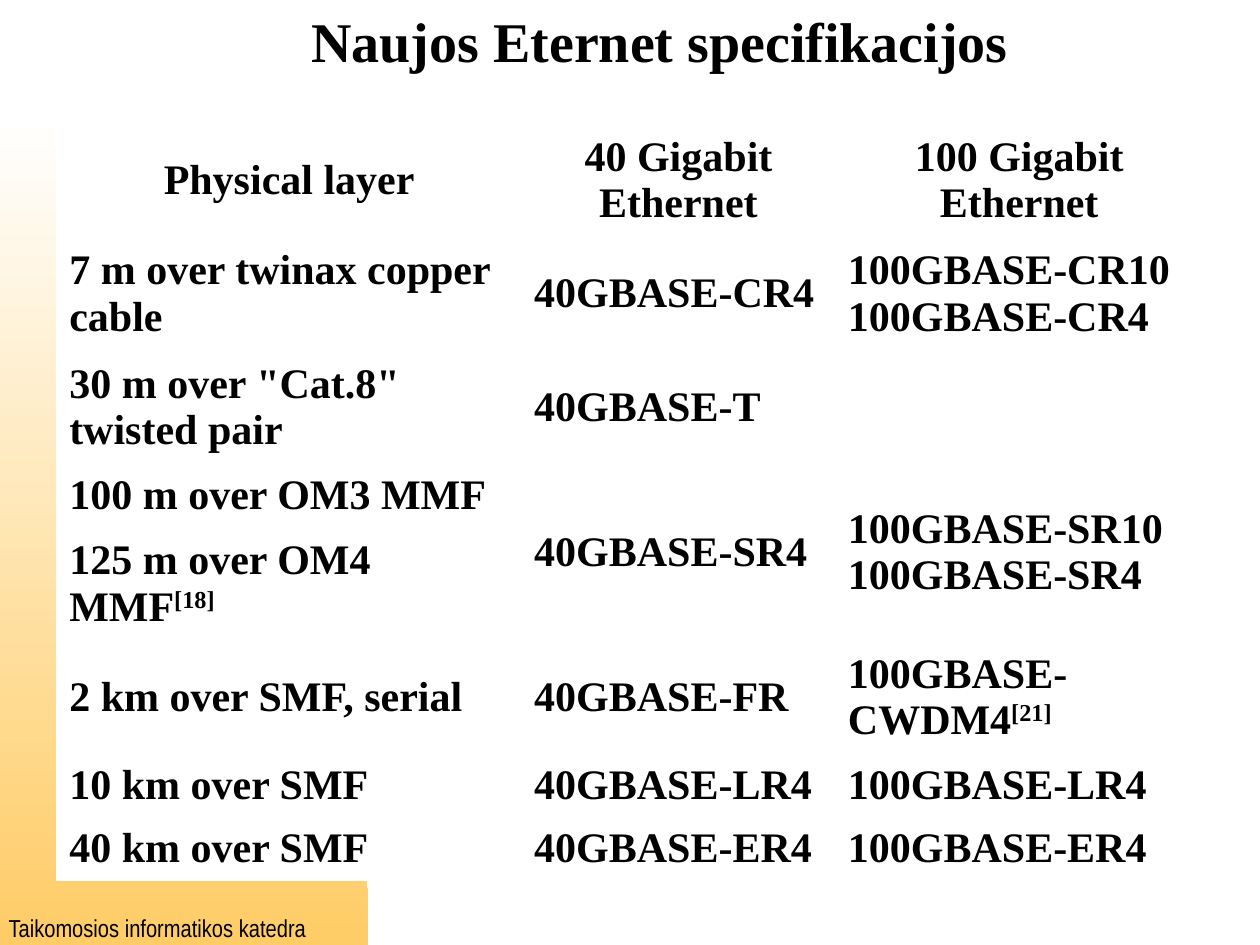
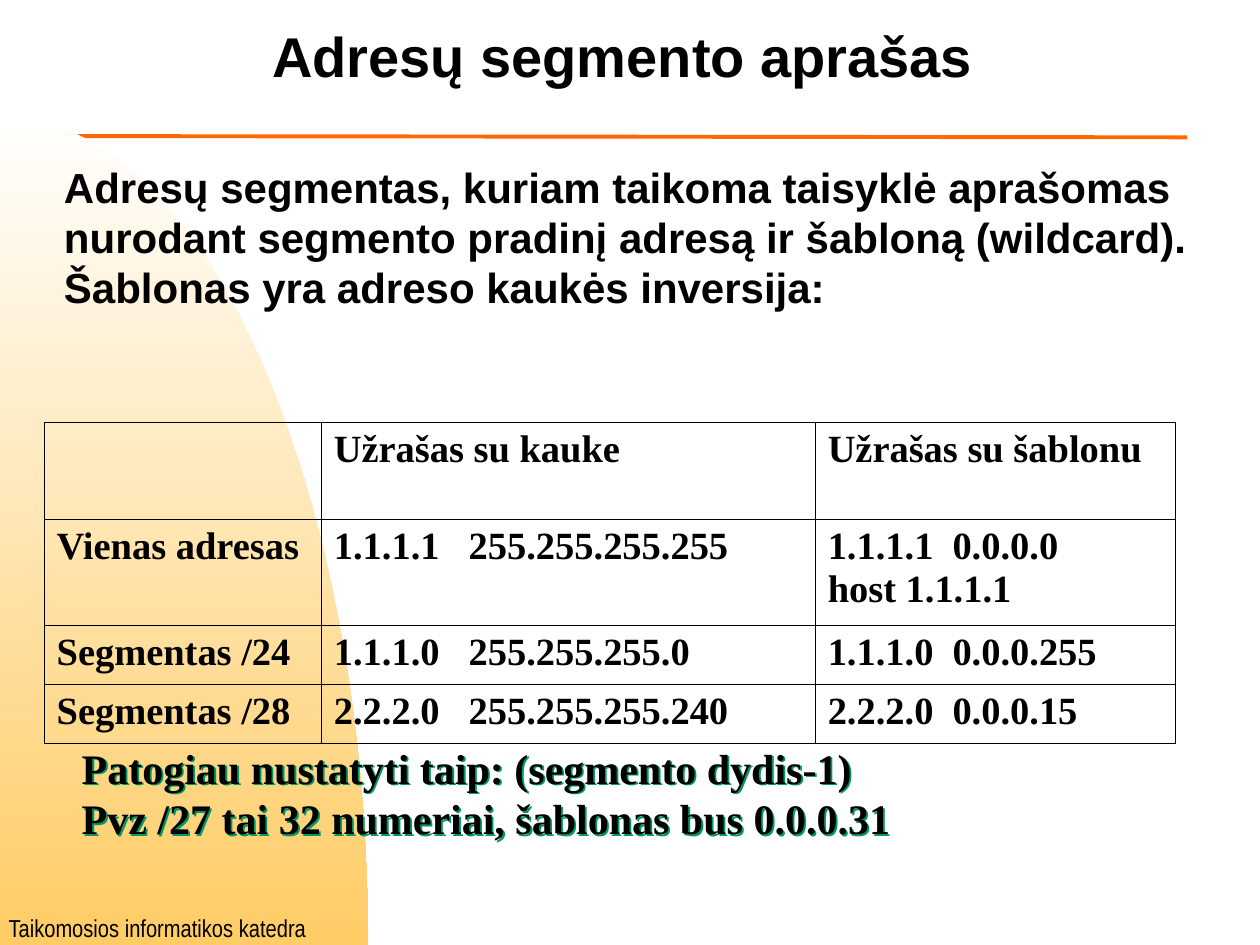
"""Build two slides on Ethernet layers and address segments."""
from lxml.etree import SubElement as Sub
from pptx import Presentation as Deck
from pptx.dml.color import RGBColor as Rgb
from pptx.enum.shapes import MSO_CONNECTOR as Link
from pptx.enum.text import MSO_ANCHOR as Anchor, MSO_AUTO_SIZE as Auto, PP_ALIGN as Align
from pptx.oxml.ns import qn
from pptx.util import Inches, Pt

HUES = {"ink": "000000", "paper": "FFFFFF", "sand": "FFCC66", "rule": "FF6903", "shade": "009966"}
SERIF, SANS, SLIM = "Times New Roman", "Arial", "Arial Narrow"
FOOT = "Taikomosios informatikos katedra"

LAYERS = [
    ["Physical layer", "40 Gigabit Ethernet", "100 Gigabit Ethernet"],
    ["7\u00a0m over twinax copper cable", "40GBASE-CR4", "100GBASE-CR10\n100GBASE-CR4"],
    ["30\u00a0m over \"Cat.8\" twisted pair", "40GBASE-T", ""],
    ["100\u00a0m over OM3 MMF", "40GBASE-SR4", "100GBASE-SR10\n100GBASE-SR4"],
    ["125\u00a0m over OM4 MMF^[18]", "", ""],
    ["2\u00a0km over SMF, serial", "40GBASE-FR", "100GBASE-CWDM4^[21]"],
    ["10\u00a0km over SMF", "40GBASE-LR4", "100GBASE-LR4"],
    ["40\u00a0km over SMF", "40GBASE-ER4", "100GBASE-ER4"],
]
MASKS = [
    ["", "Užrašas su kauke", "Užrašas su šablonu"],
    ["Vienas adresas", "1.1.1.1\t255.255.255.255", "1.1.1.1\t0.0.0.0\nhost 1.1.1.1"],
    ["Segmentas /24", "1.1.1.0\t255.255.255.0", "1.1.1.0\t0.0.0.255"],
    ["Segmentas /28", "2.2.2.0\t255.255.255.240", "2.2.2.0\t0.0.0.15"],
]
INTRO = """Adresų segmentas, kuriam taikoma taisyklė aprašomas
nurodant segmento pradinį adresą ir šabloną (wildcard).
Šablonas yra adreso kaukės inversija:"""
HINT = """Patogiau nustatyti taip: (segmento dydis-1)
Pvz /27 tai 32 numeriai, šablonas bus 0.0.0.31"""


def hue(name):
    """Return a named colour."""
    return Rgb.from_string(HUES[name])


def apply(item, values):
    """Set each format value on an item."""
    for name, value in values.items():
        setattr(item, name, value)


def write(frame, text, face, size, bold=True, tab=None, **form):
    """Write lines of text; a caret starts a raised run."""
    for num, line in enumerate(text.split("\n")):
        para = frame.add_paragraph() if num else frame.paragraphs[0]
        apply(para, form)
        if tab and "\t" in line:
            stops = Sub(para._p.get_or_add_pPr(), qn("a:tabLst"))
            Sub(stops, qn("a:tab"), pos=str(Inches(tab)), algn="l")
        for rank, part in enumerate(line.split("^")):
            run = para.add_run()
            run.text = part
            apply(run.font, {"name": face, "size": Pt(size), "bold": bold})
            run.font.color.rgb = hue("ink")
            if rank:
                run._r.get_or_add_rPr().set("baseline", "30000")


def add_text(slide, box, text, face, size, **form):
    """Add an unwrapped text box."""
    shape = slide.shapes.add_textbox(*map(Inches, box))
    shape.text_frame.word_wrap = False
    write(shape.text_frame, text, face, size, **form)
    return shape


def add_title(slide, box, text, face):
    """Place and fill the title."""
    title = slide.shapes.title
    apply(title, dict(zip(("left", "top", "width", "height"), map(Inches, box))))
    apply(title.text_frame, {"word_wrap": False, "auto_size": Auto.NONE,
                             "vertical_anchor": Anchor.TOP})
    write(title.text_frame, text, face, 32, alignment=Align.LEFT)


def add_curve(slide):
    """Draw the shaded quarter curve on the left."""
    ends = [(0, 0.92), (1.61, 0.92), (2.92, 3.87), (2.92, 7.5)]
    steps = 40
    dots = []
    for num in range(steps + 1):
        t = num / steps
        parts = ((1 - t) ** 3, 3 * t * (1 - t) ** 2, 3 * t * t * (1 - t), t ** 3)
        dots.append([Inches(sum(k * end[axis] for k, end in zip(parts, ends))) for axis in (0, 1)])
    path = slide.shapes.build_freeform(*dots[0])
    path.add_line_segments(dots[1:] + [(0, Inches(7.5))], close=True)
    curve = path.convert_to_shape()
    curve.shadow.inherit = False
    curve.line.fill.background()
    curve.fill.gradient()
    curve.fill.gradient_angle = 270
    for stop, name in zip(curve.fill.gradient_stops, ("paper", "sand")):
        stop.color.rgb = hue(name)


def add_frame(slide):
    """Draw the rule, curve and footer that slides share."""
    rule = slide.shapes.add_connector(Link.STRAIGHT, *map(Inches, (0.42, 1.08, 9.42, 1.09)))
    rule.line.color.rgb = hue("rule")
    rule.line.width = Pt(2.25)
    Sub(rule._element.spPr, qn("a:effectLst"))
    add_curve(slide)
    foot = add_text(slide, (0, 7.24, 2.5, 0.26), FOOT, SLIM, 14, bold=False,
                    alignment=Align.CENTER, space_before=Pt(8.8))
    sides = ("left", "right", "top", "bottom")
    apply(foot.text_frame, {"word_wrap": True, **{f"margin_{side}": Inches(0.01) for side in sides}})


def add_edge(cell):
    """Give a cell thin lines on all sides."""
    for side in "LRTB":
        edge = Sub(cell._tc.get_or_add_tcPr(), qn(f"a:ln{side}"), w=str(Pt(0.45)))
        Sub(Sub(edge, qn("a:solidFill")), qn("a:srgbClr"), val=HUES["ink"])


def add_grid(slide, spot, cols, rows, cells, size, plain=False, tabs=(None, None, None)):
    """Add a table, either white or ruled and clear."""
    box = (*spot, sum(cols), sum(rows))
    table = slide.shapes.add_table(len(rows), len(cols), *map(Inches, box)).table
    table.horz_banding = False
    for col, width in zip(table.columns, cols):
        col.width = Inches(width)
    for y, (row, high) in enumerate(zip(table.rows, rows)):
        row.height = Inches(high)
        for x, (cell, text) in enumerate(zip(row.cells, cells[y])):
            if plain:
                cell.fill.solid()
                cell.fill.fore_color.rgb = hue("paper")
                cell.vertical_anchor = Anchor.MIDDLE
            else:
                add_edge(cell)
                cell.fill.background()
            if text:
                side = Align.CENTER if plain and y == 0 else Align.LEFT
                write(cell.text_frame, text, SERIF, size, tab=tabs[x], alignment=side)
    return table


def add_shade(shape):
    """Give the text of a box a green shadow."""
    glow = Sub(Sub(shape._element.spPr, qn("a:effectLst")), qn("a:outerShdw"),
               dist=str(Pt(1.5)), dir="2700000", algn="ctr", rotWithShape="0")
    Sub(glow, qn("a:srgbClr"), val=HUES["shade"])


def add_slide(deck):
    """Add a title slide with the shared frame."""
    slide = deck.slides.add_slide(deck.slide_layouts[5])
    add_frame(slide)
    return slide


def main():
    """Build and save the deck."""
    deck = Deck()
    apply(deck, {"slide_width": Inches(10), "slide_height": Inches(7.5)})

    slide = add_slide(deck)
    add_title(slide, (2.37, 0, 6.2, 0.64), "Naujos Eternet specifikacijos", SERIF)
    tall, low = 0.9, 0.5
    rows = [tall, tall, tall, low, tall, tall, low, low]
    table = add_grid(slide, (0.45, 0.98), (3.69, 2.49, 2.92), rows, LAYERS, 24, plain=True)
    for col in (1, 2):
        table.cell(3, col).merge(table.cell(4, col))

    slide = add_slide(deck)
    add_title(slide, (2.06, 0.12, 6.2, 0.64), "Adresų segmento aprašas", SANS)
    add_text(slide, (0.41, 1.23, 9.2, 1.3), INTRO, SANS, 24)
    add_grid(slide, (0.35, 3.35), (2.2, 3.92, 2.86), (0.77, 0.84, 0.47, 0.47), MASKS, 22,
             tabs=(None, 1.07, 0.99))
    add_shade(add_text(slide, (0.55, 5.84, 6.62, 0.9), HINT, SERIF, 24))
    deck.save("out.pptx")


if __name__ == "__main__":
    main()
